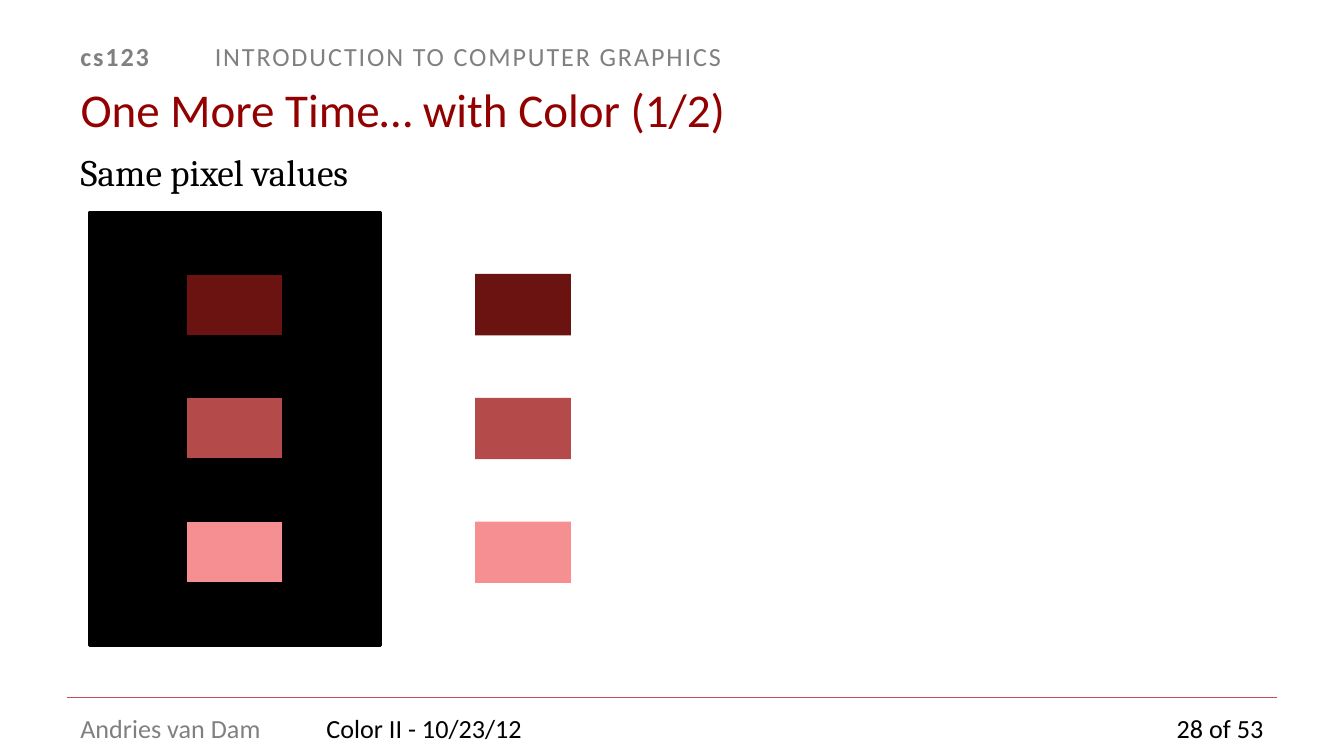
"""Build a slide that sets the same colors on black and on white."""
from lxml import etree
from pptx import Presentation
from pptx import util as u
from pptx.dml import color
from pptx.enum import shapes, text
from pptx.oxml import ns

GREY, BLACK, WHITE, RED = "808080", "000000", "FFFFFF", "920000"
TONES = ["6B1311", "B54A4A", "F58F91"]


def rgb(code):
    """Turn a hex string into a color."""
    return color.RGBColor.from_string(code)


def place(shape, left, top, width, height):
    """Move and size a shape, in centimetres."""
    shape.left, shape.top = u.Cm(left), u.Cm(top)
    shape.width, shape.height = u.Cm(width), u.Cm(height)


def write(shape, words, size, tint, face="Calibri", bold=False,
          align=text.PP_ALIGN.LEFT, anchor=text.MSO_ANCHOR.TOP):
    """Add one run to the first paragraph of a shape."""
    frame = shape.text_frame
    frame.word_wrap = True
    frame.auto_size = text.MSO_AUTO_SIZE.NONE
    frame.vertical_anchor = anchor
    para = frame.paragraphs[0]
    para.alignment = align
    run = para.add_run()
    run.text = words
    font = run.font
    font.size, font.name, font.bold = u.Pt(size), face, bold
    font.color.rgb = rgb(tint)
    return run


def plain(shape):
    """Take the bullet and indent off the first paragraph."""
    para = shape.text_frame.paragraphs[0]
    props = para._p.get_or_add_pPr()
    props.set("marL", "0")
    props.set("indent", "0")
    etree.SubElement(props, ns.qn("a:buNone"))
    para.space_before = u.Pt(0)


def block(slide, left, top, width, height, fill, edge=None):
    """Draw a filled box, with a black edge if a width is given."""
    box = slide.shapes.add_shape(shapes.MSO_SHAPE.RECTANGLE, 0, 0, 0, 0)
    place(box, left, top, width, height)
    box.shadow.inherit = False
    box.fill.solid()
    box.fill.fore_color.rgb = rgb(fill)
    if edge:
        box.line.color.rgb = rgb(BLACK)
        box.line.width = u.Pt(edge)
    else:
        box.line.fill.background()
    return box


def header(slide):
    """Write the course line at the top."""
    box = block(slide, 1.27, 0.64, 22.86, 0.64, WHITE)
    for words, bold in [("cs123 \t", True),
                        ("INTRODUCTION TO COMPUTER GRAPHICS", False)]:
        run = write(box, words, 14, GREY, bold=bold)
        run._r.get_or_add_rPr().set("spc", "100")


def label(slide, left, width, words, tint, align=text.PP_ALIGN.LEFT):
    """Write one part of the footer."""
    box = slide.shapes.add_textbox(0, 0, 0, 0)
    place(box, left, 13.34, width, 0.66)
    write(box, words, 14, tint, align=align)


def rule(slide):
    """Draw the thin line over the footer."""
    y = u.Cm(13.18)
    line = slide.shapes.add_connector(
        shapes.MSO_CONNECTOR.STRAIGHT, u.Cm(1.27), y, u.Cm(24.13), y)
    line.line.color.rgb = rgb("C0504D")
    line.line.width = u.Pt(0.75)
    etree.SubElement(line._element.spPr, ns.qn("a:effectLst"))


def swatches(slide):
    """Draw each tone on the black panel and on white."""
    block(slide, 1.7, 4.01, 5.49, 8.2, BLACK, 1.5)
    for row, tone in enumerate(TONES):
        for left, edge in [(3.53, 0.75), (8.98, None)]:
            block(slide, left, 5.18 + row * 2.34, 1.81, 1.16, tone, edge)


def main():
    """Build and save the slide."""
    deck = Presentation()
    deck.slide_width, deck.slide_height = u.Cm(25.4), u.Cm(14.29)
    slide = deck.slides.add_slide(deck.slide_layouts[1])
    title, body = slide.placeholders
    place(title, 1.27, 1.42, 22.86, 1.27)
    write(title, "One More Time… with Color (1/2)", 25.2, RED,
          anchor=text.MSO_ANCHOR.MIDDLE)
    place(body, 1.27, 2.7, 22.86, 10)
    plain(body)
    write(body, "Same pixel values", 20, BLACK, "Cambria")
    header(slide)
    swatches(slide)
    rule(slide)
    label(slide, 1.27, 4.88, "Andries van Dam", GREY)
    label(slide, 5.92, 14.6, "Color II - 10/23/12", BLACK)
    label(slide, 20.75, 3.38, "28 of 53", BLACK, text.PP_ALIGN.RIGHT)
    deck.save("out.pptx")


if __name__ == "__main__":
    main()
